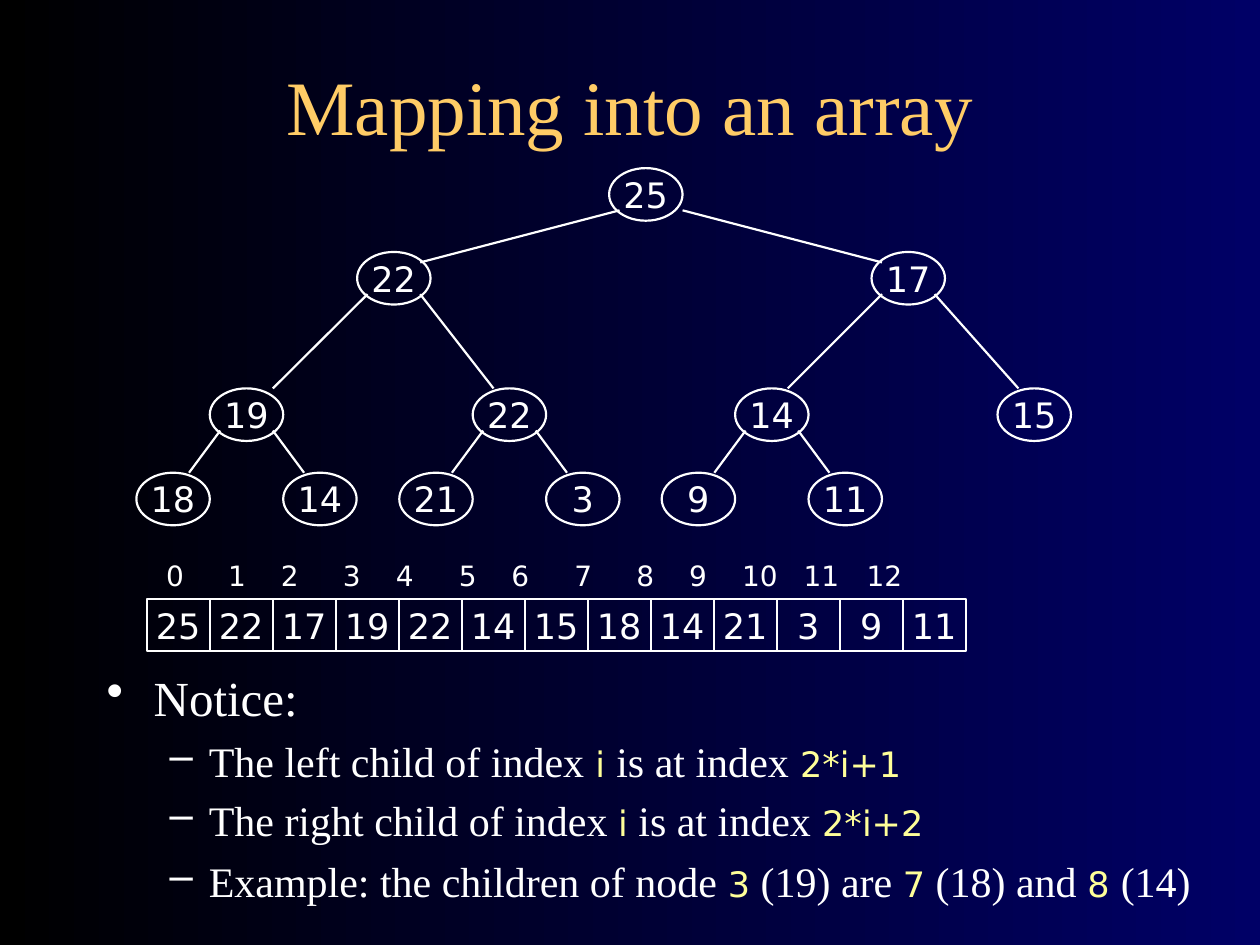
from lxml import etree
from pptx import Presentation
from pptx.dml.color import RGBColor
from pptx.enum.shapes import MSO_CONNECTOR, MSO_SHAPE
from pptx.enum.text import MSO_ANCHOR, PP_ALIGN
from pptx.oxml.ns import qn
from pptx.util import Cm, Pt

BLACK = RGBColor(0x00, 0x00, 0x00)
NAVY = RGBColor(0x00, 0x00, 0x66)
WHITE = RGBColor(0xFF, 0xFF, 0xFF)
GOLD = RGBColor(0xFF, 0xCC, 0x66)
YELLOW = RGBColor(0xFF, 0xFF, 0x99)
SERIF, SANS = "Times New Roman", "DejaVu Sans"
LINE_WIDTH = Pt(1.25)


def style_font(font, name, size, color):
    font.name, font.size = name, Pt(size)
    font.color.rgb = color


def add_value_box(kind, left, top, width, height, value):
    """Outlined shape with one centred number."""
    shape = slide.shapes.add_shape(kind, Cm(left), Cm(top), Cm(width), Cm(height))
    shape.shadow.inherit = False
    shape.fill.background()
    shape.line.color.rgb = WHITE
    shape.line.width = LINE_WIDTH
    frame = shape.text_frame
    frame.word_wrap = False
    frame.vertical_anchor = MSO_ANCHOR.MIDDLE
    paragraph = frame.paragraphs[0]
    paragraph.text = str(value)
    paragraph.alignment = PP_ALIGN.CENTER
    style_font(paragraph.font, SANS, 20, WHITE)


presentation = Presentation()
presentation.slide_width, presentation.slide_height = Cm(25.4), Cm(19.05)
slide = presentation.slides.add_slide(presentation.slide_layouts[6])

background = slide.background.fill
background.gradient()
background.gradient_angle = 0
for stop, color in zip(background.gradient_stops, (BLACK, NAVY)):
    stop.color.rgb = color

# Title
title = slide.shapes.add_textbox(Cm(0.85), Cm(1.06), Cm(23.7), Cm(2.12)).text_frame
title.word_wrap = True
title.vertical_anchor = MSO_ANCHOR.MIDDLE
paragraph = title.paragraphs[0]
paragraph.text = "Mapping into an array"
paragraph.alignment = PP_ALIGN.CENTER
style_font(paragraph.font, SERIF, 44, GOLD)

# Notes on the index rule; each run is (text, is_code)
notes = [
    (0, 7, [("Notice:", False)]),
    (1, 5, [("The left child of index", False), (" i ", True),
            ("is at index", False), (" 2*i+1", True)]),
    (1, 5, [("The right child of index ", False), ("i", True),
            (" is at index", False), (" 2*i+2", True)]),
    (1, 6, [("Example: the children of node ", False), ("3", True),
            (" (19) are ", False), ("7", True), (" (18) and ", False),
            ("8 ", True), ("(14)", False)]),
]
# Per level: bullet, left margin, hanging indent, text size
levels = [("•", 0.95, 0.95, 28), ("–", 2.06, 0.79, 24)]
body = slide.shapes.add_textbox(Cm(1.9), Cm(13.34), Cm(22.86), Cm(5.29)).text_frame
body.word_wrap = True
for number, (level, space_before, runs) in enumerate(notes):
    paragraph = body.add_paragraph() if number else body.paragraphs[0]
    bullet, margin, hanging, size = levels[level]
    paragraph.level = level
    paragraph.space_before = Pt(space_before)
    properties = paragraph._p.get_or_add_pPr()
    properties.set("marL", str(Cm(margin)))
    properties.set("indent", str(-Cm(hanging)))
    bullet_color = etree.SubElement(properties, qn("a:buClr"))
    etree.SubElement(bullet_color, qn("a:srgbClr")).set("val", str(WHITE))
    etree.SubElement(properties, qn("a:buChar")).set("char", bullet)
    for text, is_code in runs:
        run = paragraph.add_run()
        run.text = text
        if is_code:
            style_font(run.font, SANS, 20, YELLOW)
        else:
            style_font(run.font, SERIF, size, WHITE)

# Heap in level order: the children of node i are 2*i+1 and 2*i+2
heap = [25, 22, 17, 19, 22, 14, 15, 18, 14, 21, 3, 9, 11]
NODE_WIDTH, NODE_HEIGHT = 1.48, 1.06
level_tops = [3.39, 5.08, 7.83, 9.53]
node_lefts = [12.28, 7.2, 17.57, 4.23, 9.53, 14.82, 20.11]
for parent_left in node_lefts[3:6]:
    node_lefts += [parent_left - NODE_WIDTH, parent_left + NODE_WIDTH]
node_tops = [level_tops[(index + 1).bit_length() - 1] for index in range(len(heap))]

for left, top, value in zip(node_lefts, node_tops, heap):
    add_value_box(MSO_SHAPE.OVAL, left, top, NODE_WIDTH, NODE_HEIGHT, value)

# Edges run from the lower corner of the parent to the top of the child
start_offsets = {2: NODE_WIDTH}
end_offsets = {1: 1.27, 2: 0.21, 3: 1.27}
for child in range(1, len(heap)):
    parent = (child - 1) // 2
    is_left = child % 2 == 1
    start_x = node_lefts[parent] + start_offsets.get(child, 0.21 if is_left else 1.27)
    end_x = node_lefts[child] + end_offsets.get(child, 1.06 if is_left else 0.42)
    end_y = node_tops[child] + (0.21 if parent == 0 else 0)
    edge = slide.shapes.add_connector(
        MSO_CONNECTOR.STRAIGHT,
        Cm(start_x), Cm(node_tops[parent] + 0.85), Cm(end_x), Cm(end_y))
    edge.line.color.rgb = WHITE
    edge.line.width = LINE_WIDTH
    etree.SubElement(edge._element.spPr, qn("a:effectLst"))

# Array cells
CELL_WIDTH = 1.27
for index, value in enumerate(heap):
    add_value_box(MSO_SHAPE.RECTANGLE, 2.96 + index * CELL_WIDTH, 12.07,
                  CELL_WIDTH, 1.06, value)

# Index labels on centred tab stops
label_centers = [0.53, 1.78, 2.84, 4.09, 5.16, 6.43, 7.49,
                 8.76, 10.01, 11.07, 12.32, 13.56, 14.83]
labels = slide.shapes.add_textbox(Cm(2.75), Cm(11.13), Cm(17.58), Cm(0.94)).text_frame
labels.word_wrap = True
paragraph = labels.paragraphs[0]
paragraph.text = "".join(f"\t{index}" for index in range(len(heap)))
style_font(paragraph.font, SANS, 16, WHITE)
tab_list = etree.Element(qn("a:tabLst"))
for center in label_centers:
    etree.SubElement(tab_list, qn("a:tab"), pos=str(Cm(center)), algn="ctr")
paragraph._p.get_or_add_pPr().insert(0, tab_list)

presentation.save("out.pptx")
